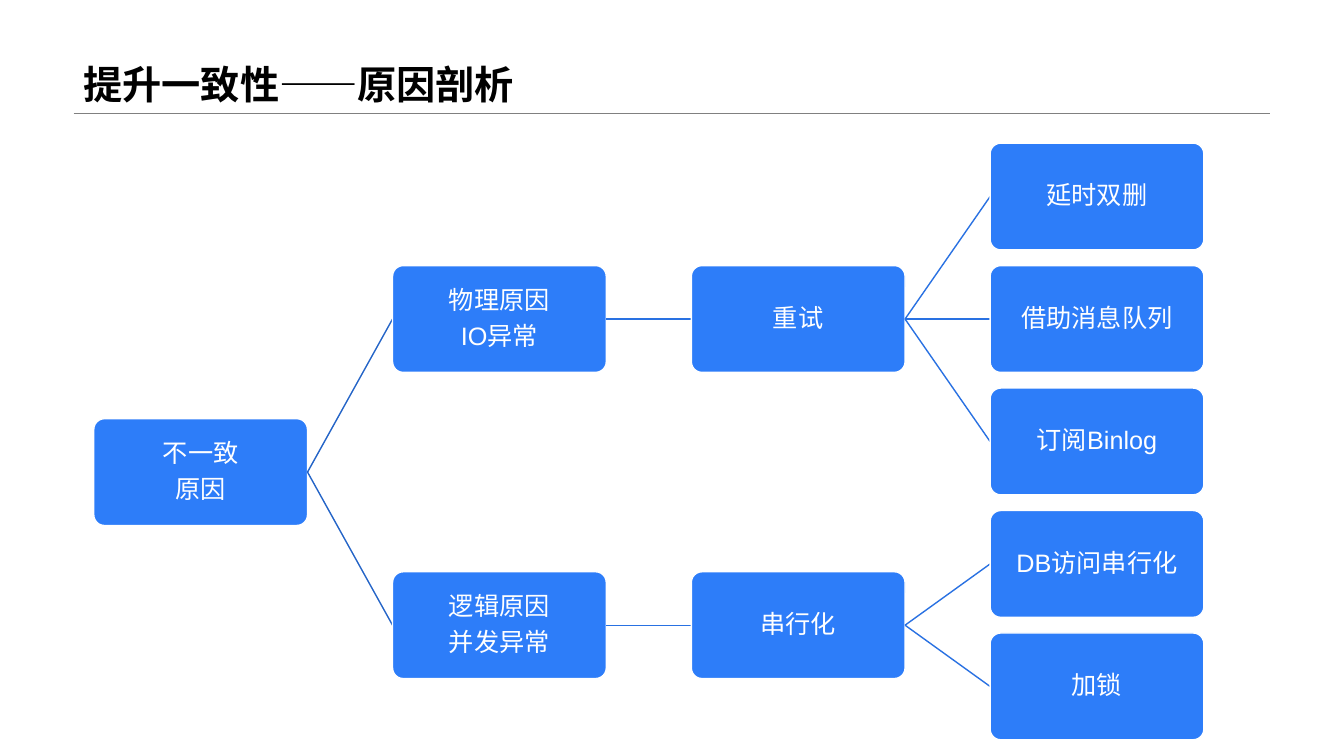
from dataclasses import dataclass

from lxml.etree import SubElement
from pptx import Presentation
from pptx.dml.color import RGBColor
from pptx.enum.shapes import MSO_CONNECTOR, MSO_SHAPE
from pptx.enum.text import MSO_ANCHOR, PP_ALIGN
from pptx.oxml.ns import qn
from pptx.slide import Slide
from pptx.text.text import TextFrame
from pptx.util import Inches, Pt


@dataclass(frozen=True)
class Cause:
    lines: tuple[str, ...]
    row: float
    children: tuple["Cause", ...] = ()


FONT = "Arial"
BOX_WIDTH = 2.12
BOX_HEIGHT = 1.06
FIRST_LEFT = 0.93
COLUMN_STEP = (9.82 - FIRST_LEFT) / 3
FIRST_TOP = 1.42
ROW_STEP = (6.28 - FIRST_TOP) / 4
LINK_COLORS = ("2464C7", "2971E2", "2971E2")


def branch(lines: tuple[str, ...], *children: Cause) -> Cause:
    middle = (children[0].row + children[-1].row) / 2
    return Cause(lines, middle, children)


RETRY = branch(
    ("重试",),
    Cause(("延时双删",), 0),
    Cause(("借助消息队列",), 1),
    Cause(("订阅Binlog",), 2),
)
SERIALIZE = branch(("串行化",), Cause(("DB访问串行化",), 3), Cause(("加锁",), 4))
ROOT = branch(
    ("不一致", "原因"),
    branch(("物理原因", "IO异常"), RETRY),
    branch(("逻辑原因", "并发异常"), SERIALIZE),
)


def color(value: str) -> RGBColor:
    return RGBColor.from_string(value)


def left_of(level: int) -> float:
    return FIRST_LEFT + level * COLUMN_STEP


def top_of(cause: Cause) -> float:
    return FIRST_TOP + cause.row * ROW_STEP


def write_line(frame: TextFrame, index: int, text: str, size: float, hue: str):
    paragraph = frame.paragraphs[0] if index == 0 else frame.add_paragraph()
    paragraph.text = text
    paragraph.line_spacing = 0.9
    paragraph.font.name = FONT
    paragraph.font.size = Pt(size)
    paragraph.font.color.rgb = color(hue)
    return paragraph


def add_line(page: Slide, start: tuple[float, float], end: tuple[float, float],
             hue: str, width: float) -> None:
    line = page.shapes.add_connector(
        MSO_CONNECTOR.STRAIGHT, *map(Inches, start + end))
    line.line.color.rgb = color(hue)
    line.line.width = Pt(width)
    SubElement(line._element.spPr, qn("a:effectLst"))


def add_title(page: Slide, text: str) -> None:
    box = page.shapes.add_textbox(Inches(0.73), Inches(0), Inches(11.87), Inches(1.12))
    frame = box.text_frame
    frame.word_wrap = True
    frame.vertical_anchor = MSO_ANCHOR.BOTTOM
    write_line(frame, 0, text, 28, "000000").font.bold = True


def add_box(page: Slide, cause: Cause, level: int) -> None:
    box = page.shapes.add_shape(
        MSO_SHAPE.ROUNDED_RECTANGLE, Inches(left_of(level)), Inches(top_of(cause)),
        Inches(BOX_WIDTH), Inches(BOX_HEIGHT))
    box.adjustments[0] = 0.1
    box.shadow.inherit = False
    box.fill.solid()
    box.fill.fore_color.rgb = color("2D7DF9")
    box.line.color.rgb = color("FFFFFF")
    box.line.width = Pt(1)
    frame = box.text_frame
    frame.word_wrap = True
    frame.vertical_anchor = MSO_ANCHOR.MIDDLE
    frame.margin_left = frame.margin_right = Inches(0.01)
    frame.margin_top = frame.margin_bottom = Inches(0.01)
    for index, text in enumerate(cause.lines):
        paragraph = write_line(frame, index, text, 18, "FFFFFF")
        paragraph.alignment = PP_ALIGN.CENTER
        paragraph.space_after = Pt(6.3)


def add_tree(page: Slide, cause: Cause, level: int = 0) -> None:
    add_box(page, cause, level)
    start = (left_of(level) + BOX_WIDTH, top_of(cause) + BOX_HEIGHT / 2)
    for child in cause.children:
        end = (left_of(level + 1), top_of(child) + BOX_HEIGHT / 2)
        add_line(page, start, end, LINK_COLORS[level], 1)
        add_tree(page, child, level + 1)


def main() -> None:
    deck = Presentation()
    deck.slide_width = Inches(13.33)
    deck.slide_height = Inches(7.5)
    page = deck.slides.add_slide(deck.slide_layouts[6])
    add_line(page, (0.73, 1.12), (12.6, 1.12), "808080", 0.25)
    add_title(page, "提升一致性——原因剖析")
    add_tree(page, ROOT)
    deck.save("out.pptx")


if __name__ == "__main__":
    main()
